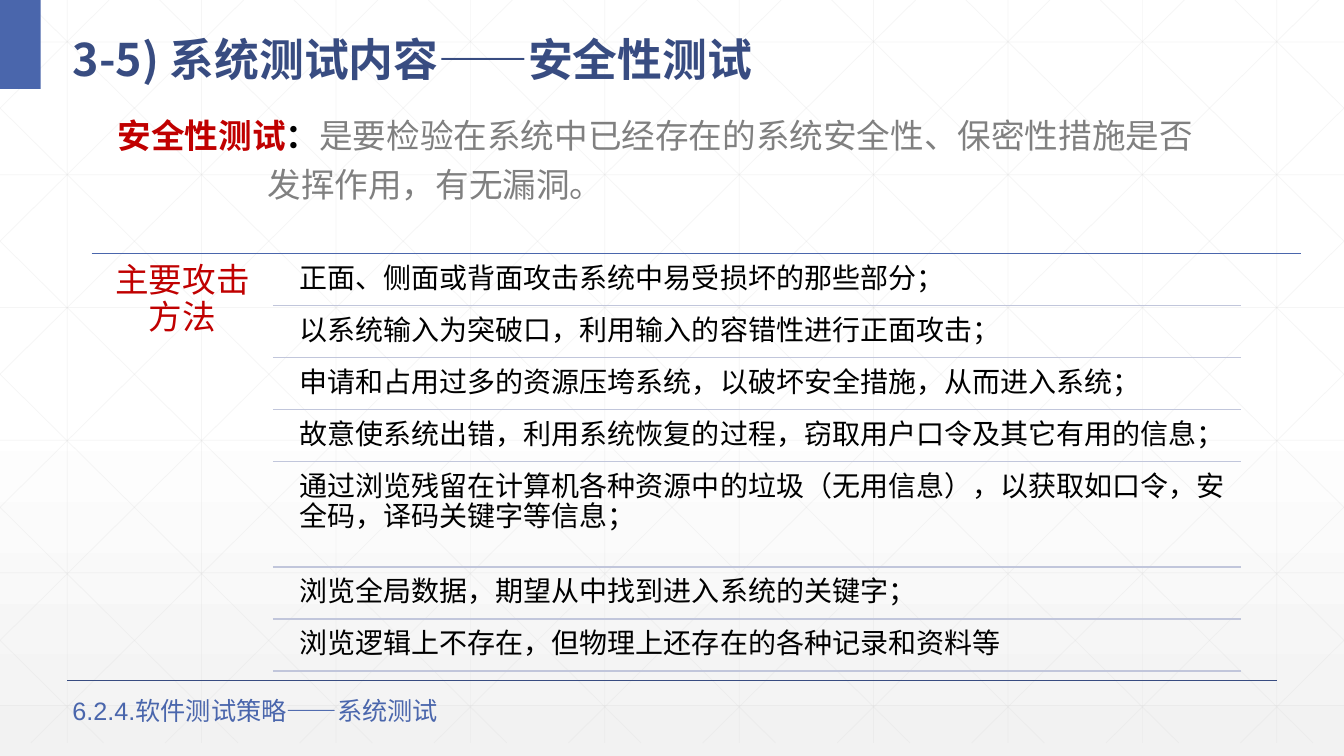
from lxml.etree import SubElement
from pptx import Presentation
from pptx.dml.color import RGBColor
from pptx.enum.shapes import MSO_CONNECTOR as Connector, MSO_SHAPE as Shape
from pptx.enum.text import MSO_ANCHOR as Anchor, PP_ALIGN as Align
from pptx.oxml.ns import qn
from pptx.util import Pt

WIDTH, HEIGHT = 960, 540
GRID_BOTTOM = 530.64
GRID_STEP = 96
DIAGONAL_RATIO = 1.01
CJK, LATIN = "Noto Sans CJK SC", "Arial"
BLUE, NAVY, RED = "4A66AC", "384C81", "C00000"
ROW_HEIGHT, TALL_ROW_HEIGHT, ROW_GAP = 35.3, 73.6, 1.8

ATTACKS = [
    ("正面、侧面或背面攻击系统中易受损坏的那些部分；", ROW_HEIGHT),
    ("以系统输入为突破口，利用输入的容错性进行正面攻击；", ROW_HEIGHT),
    ("申请和占用过多的资源压垮系统，以破坏安全措施，从而进入系统；", ROW_HEIGHT),
    ("故意使系统出错，利用系统恢复的过程，窃取用户口令及其它有用的信息；", ROW_HEIGHT),
    ("通过浏览残留在计算机各种资源中的垃圾（无用信息），以获取如口令，安全码，译码关键字等信息；",
     TALL_ROW_HEIGHT),
    ("浏览全局数据，期望从中找到进入系统的关键字；", ROW_HEIGHT),
    ("浏览逻辑上不存在，但物理上还存在的各种记录和资料等", ROW_HEIGHT),
]


def rgb(color):
    return RGBColor.from_string(color)


def add_line(slide, start, end, color, width=1, opacity=None):
    line = slide.shapes.add_connector(Connector.STRAIGHT, *map(Pt, start + end))
    line.line.color.rgb = rgb(color)
    line.line.width = Pt(width)
    properties = line._element.spPr
    if opacity is not None:
        fill_color = properties.find(".//" + qn("a:srgbClr"))
        SubElement(fill_color, qn("a:alpha")).set("val", str(opacity * 1000))
    SubElement(properties, qn("a:effectLst"))


def add_text_frame(slide, left, top, width, height, inset=(7.2, 3.6)):
    frame = slide.shapes.add_textbox(Pt(left), Pt(top), Pt(width), Pt(height)).text_frame
    frame.word_wrap = True
    frame.margin_left = frame.margin_right = Pt(inset[0])
    frame.margin_top = frame.margin_bottom = Pt(inset[1])
    return frame


def style_paragraph(paragraph, size, color, name=CJK, bold=False, spacing=None):
    font = paragraph.font
    font.size, font.name, font.bold = Pt(size), name, bold
    font.color.rgb = rgb(color)
    if spacing:
        paragraph.line_spacing = spacing
    for run in paragraph.runs:
        run_properties = run._r.get_or_add_rPr()
        SubElement(run_properties, qn("a:ea")).set("typeface", CJK)


def add_text(slide, box, text, size, color, inset=(7.2, 3.6), **style):
    frame = add_text_frame(slide, *box, inset)
    paragraph = frame.paragraphs[0]
    paragraph.text = text
    style_paragraph(paragraph, size, color, **style)
    return frame


def paint_background(slide):
    fill = slide.background.fill
    fill.gradient()
    fill.gradient_angle = 270
    for stop, color, position in zip(fill.gradient_stops, ("FFFFFF", "F2F2F2"), (0.53, 1)):
        stop.color.rgb = rgb(color)
        stop.position = position


def add_grid(slide):
    def grid_line(start, end):
        add_line(slide, start, end, "D9D9D9", 0.5, 25)

    for column in range(10):
        x = 48 + GRID_STEP * column
        grid_line((x, 0), (x, GRID_BOTTOM))
    for row in range(6):
        y = 30 + 94.8 * row
        grid_line((0, y), (WIDTH, y))
    # Diagonals are clipped to the slide and mirrored left to right
    for index in range(-5, 10):
        origin = 18 + GRID_STEP * index
        top = max(0, -origin / DIAGONAL_RATIO)
        bottom = min(GRID_BOTTOM, (WIDTH - origin) / DIAGONAL_RATIO)
        x1, x2 = (origin + DIAGONAL_RATIO * y for y in (top, bottom))
        grid_line((x1, top), (x2, bottom))
        grid_line((WIDTH - x1, top), (WIDTH - x2, bottom))


def add_definition(slide):
    frame = add_text_frame(slide, 77, 78.5, 798.5, 69)
    first, second = frame.paragraphs[0], frame.add_paragraph()
    for text, color, bold in (
        ("安全性测试", RED, True),
        ("：", "000000", True),
        ("是要检验在系统中已经存在的系统安全性、保密性措施是否", "808080", False),
    ):
        run = first.add_run()
        run.text = text
        run.font.bold = bold
        run.font.color.rgb = rgb(color)
    second.text = "发挥作用，有无漏洞。"
    second._p.get_or_add_pPr().set("marL", str(Pt(107)))
    for paragraph in (first, second):
        paragraph.space_before = Pt(6)
        style_paragraph(paragraph, 24, "808080")


def add_attack_list(slide):
    y = 181.2
    add_line(slide, (65.5, y), (929.5, y), BLUE)
    label = add_text(slide, (65.5, y, 129.6, 299.5), "主要攻击方法", 24, RED,
                     (7.2, 7.2), name=LATIN, spacing=0.9)
    label.paragraphs[0].alignment = Align.CENTER
    for text, height in ATTACKS:
        y += ROW_GAP
        add_text(slide, (208, y, 678.2, height), text, 20, "000000", (5.8, 5.8), spacing=0.9)
        y += height
        add_line(slide, (195, y), (886.3, y), "C1C6DB")


def main():
    presentation = Presentation()
    presentation.slide_width, presentation.slide_height = Pt(WIDTH), Pt(HEIGHT)
    slide = presentation.slides.add_slide(presentation.slide_layouts[6])

    # Backdrop
    paint_background(slide)
    add_grid(slide)
    add_line(slide, (48, 486), (912, 486), NAVY)
    corner = slide.shapes.add_shape(Shape.RECTANGLE, 0, 0, Pt(29), Pt(63.5))
    corner.shadow.inherit = False
    corner.fill.solid()
    corner.fill.fore_color.rgb = rgb(BLUE)
    corner.line.fill.background()

    # Title, body and footer
    title = add_text(slide, (45, 10, 867.6, 52.6), "3-5) 系统测试内容——安全性测试", 32, NAVY,
                     bold=True, spacing=1.3)
    title.vertical_anchor = Anchor.MIDDLE
    add_definition(slide)
    add_attack_list(slide)
    add_text(slide, (44.6, 493.2, 332.6, 29), "6.2.4.软件测试策略——系统测试", 18, BLUE, name=LATIN)

    presentation.save("out.pptx")


if __name__ == "__main__":
    main()
